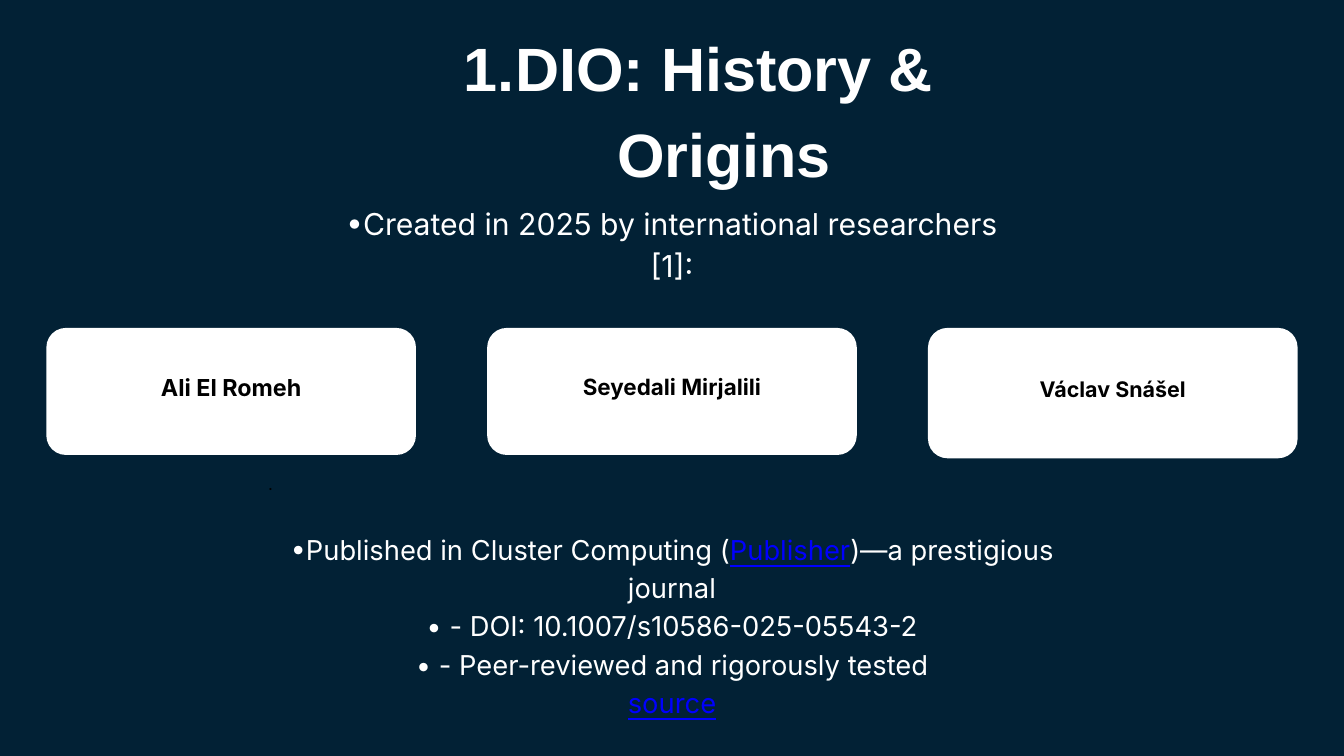
"""Build the "DIO: History & Origins" slide with its three researcher cards."""
from dataclasses import dataclass

import pptx
import pptx.dml.color
import pptx.enum.shapes
import pptx.enum.text
import pptx.oxml.ns
import pptx.util
from lxml import etree

Inches = pptx.util.Inches
Anchor = pptx.enum.text.MSO_ANCHOR


@dataclass(frozen=True)
class Theme:
    background: str = "022135"
    light: str = "FFFFFF"
    dark: str = "000000"
    link: str = "0000FF"
    heading_font: str = "Arial"
    body_font: str = "Inter"
    title_size: float = 65.5
    intro_size: float = 32.3
    detail_size: float = 29.3
    mark_size: float = 18
    title_leading: float = 91.7
    intro_leading: float = 45.2
    detail_leading: float = 41
    mark_leading: float = 25.2


@dataclass(frozen=True)
class Grid:
    width: float = 20
    height: float = 11.25
    margin: float = 0.69
    columns: int = 3
    column_width: float = 5.5
    card_top: float = 4.88
    label_rise: float = 0.2
    label_inset: float = 0.06
    corner: float = 0.29

    def column_left(self, column: int) -> float:
        pitch = (self.width - 2 * self.margin - self.column_width) / (self.columns - 1)
        return self.margin + column * pitch

    def centred(self, top: float, width: float, height: float) -> "Area":
        return Area((self.width - width) / 2, top, width, height)


@dataclass(frozen=True)
class Area:
    left: float
    top: float
    width: float
    height: float

    def lengths(self) -> tuple:
        return tuple(Inches(value) for value in (self.left, self.top, self.width, self.height))


@dataclass(frozen=True)
class Style:
    size: float
    leading: float
    color: str
    font: str
    bold: bool = False


@dataclass(frozen=True)
class Span:
    text: str
    linked: bool = False


@dataclass(frozen=True)
class Researcher:
    name: str
    size: float
    leading: float
    card_height: float = 1.89


THEME = Theme()
GRID = Grid()
RESEARCHERS = (
    Researcher("Ali El Romeh", 25, 35),
    Researcher("Seyedali Mirjalili", 24, 33.6),
    Researcher("Václav Snášel", 23, 32.2, 1.94),
)
DETAILS = (
    (Span("•Published in Cluster Computing ("), Span("Publisher", True),
     Span(")—a prestigious journal")),
    (Span("• - DOI: 10.1007/s10586-025-05543-2"),),
    (Span("• - Peer-reviewed and rigorously tested"),),
    (Span("source", True),),
)


def rgb(color: str) -> pptx.dml.color.RGBColor:
    return pptx.dml.color.RGBColor.from_string(color)


def number_paragraph(para, margin: float, indent: float) -> None:
    properties = para._p.get_or_add_pPr()
    properties.set("marL", str(Inches(margin)))
    properties.set("indent", str(Inches(indent)))
    etree.SubElement(properties, pptx.oxml.ns.qn("a:buFont"), typeface="+mj-lt")
    etree.SubElement(properties, pptx.oxml.ns.qn("a:buAutoNum"), type="arabicPeriod")


def add_text(page, area: Area, lines: tuple, style: Style, inset: float = 0,
             anchor=Anchor.TOP, grow: bool = True):
    box = page.shapes.add_textbox(*area.lengths())
    frame = box.text_frame
    frame.word_wrap = True
    frame.vertical_anchor = anchor
    if grow:
        frame.auto_size = pptx.enum.text.MSO_AUTO_SIZE.SHAPE_TO_FIT_TEXT
    frame.margin_left = frame.margin_top = Inches(inset)
    frame.margin_right = frame.margin_bottom = Inches(inset)
    for index, spans in enumerate(lines):
        para = frame.add_paragraph() if index else frame.paragraphs[0]
        para.alignment = pptx.enum.text.PP_ALIGN.CENTER
        para.line_spacing = pptx.util.Pt(style.leading)
        for span in spans:
            run = para.add_run()
            run.text = span.text
            run.font.name = style.font
            run.font.size = pptx.util.Pt(style.size)
            run.font.bold = style.bold
            run.font.underline = span.linked
            run.font.color.rgb = rgb(THEME.link if span.linked else style.color)
    return box


def add_card(page, column: int, researcher: Researcher) -> None:
    left, height = GRID.column_left(column), researcher.card_height
    area = Area(left, GRID.card_top, GRID.column_width, height)
    card = page.shapes.add_shape(
        pptx.enum.shapes.MSO_SHAPE.ROUNDED_RECTANGLE, *area.lengths())
    card.adjustments[0] = GRID.corner / height
    card.shadow.inherit = False
    card.fill.solid()
    card.fill.fore_color.rgb = rgb(THEME.light)
    card.line.fill.background()
    label = Area(left, GRID.card_top - GRID.label_rise, GRID.column_width,
                 height + GRID.label_rise)
    style = Style(researcher.size, researcher.leading, THEME.dark, THEME.body_font, True)
    add_text(page, label, ((Span(researcher.name),),), style,
             GRID.label_inset, Anchor.MIDDLE, False)


def main() -> None:
    deck = pptx.Presentation()
    deck.slide_width, deck.slide_height = Inches(GRID.width), Inches(GRID.height)
    page = deck.slides.add_slide(deck.slide_layouts[6])
    page.background.fill.solid()
    page.background.fill.fore_color.rgb = rgb(THEME.background)

    title = add_text(
        page, GRID.centred(0.27, 11.12, 1.23), ((Span("DIO: History & Origins"),),),
        Style(THEME.title_size, THEME.title_leading, THEME.light, THEME.heading_font, True))
    heading = title.text_frame.paragraphs[0]
    heading.level = 1
    number_paragraph(heading, 1.55, -0.77)

    for column, researcher in enumerate(RESEARCHERS):
        add_card(page, column, researcher)

    add_text(page, Area(1.61, 7, 4.83, 0.34), ((Span("."),),),
             Style(THEME.mark_size, THEME.mark_leading, THEME.dark, THEME.body_font))
    add_text(page, GRID.centred(2.97, 10.46, 0.61),
             ((Span("•Created in 2025 by international researchers [1]:"),),),
             Style(THEME.intro_size, THEME.intro_leading, THEME.light, THEME.body_font))
    add_text(page, GRID.centred(7.85, 12.57, 2.24), DETAILS,
             Style(THEME.detail_size, THEME.detail_leading, THEME.light, THEME.body_font))
    deck.save("out.pptx")


if __name__ == "__main__":
    main()
